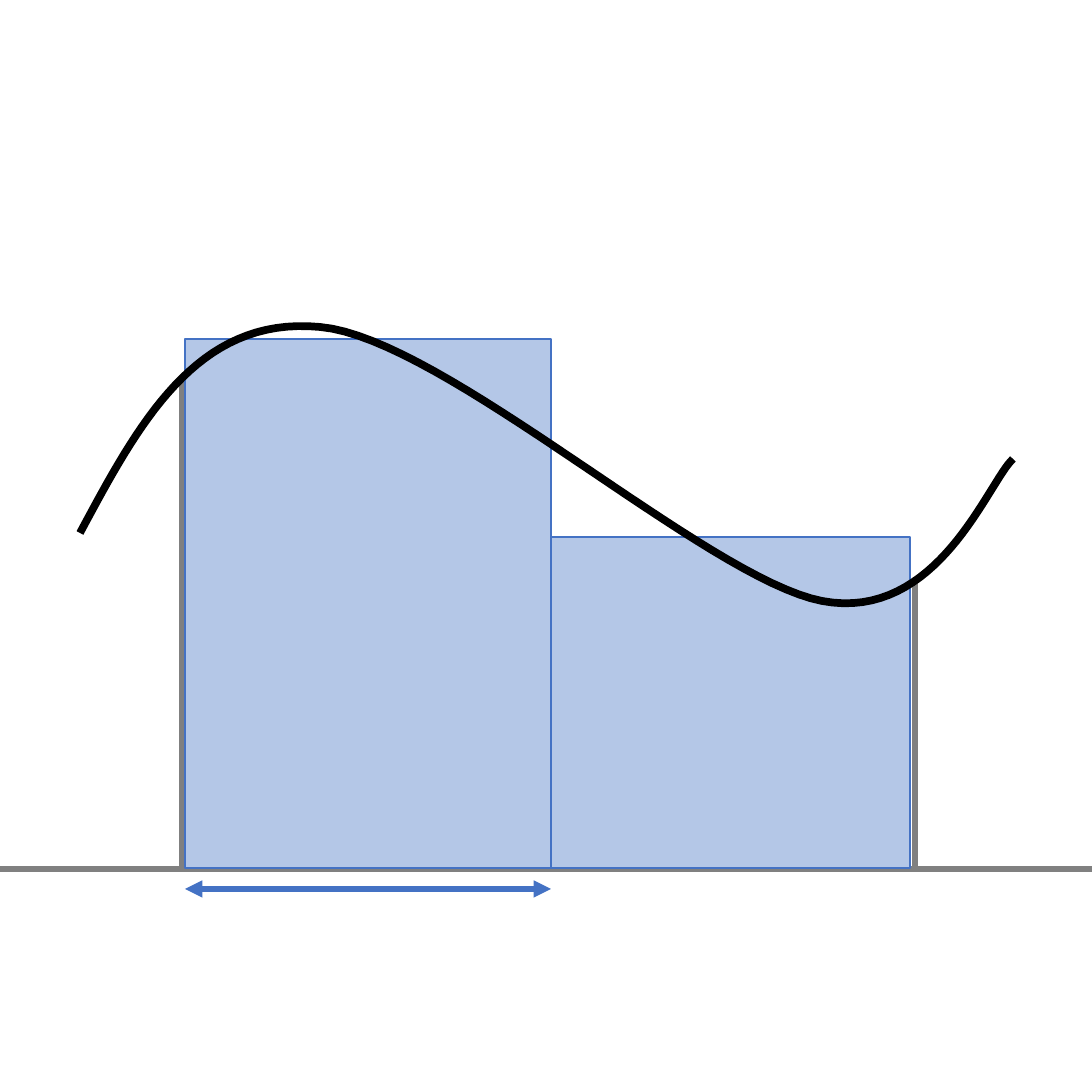
from dataclasses import dataclass

from lxml.etree import SubElement
from pptx import Presentation
from pptx.dml.color import RGBColor as Color
from pptx.enum.shapes import MSO_CONNECTOR as Connector, MSO_SHAPE as Shape
from pptx.oxml.ns import qn
from pptx.util import Emu, Pt

SCALE = 914400 / 92.5
SIDE = 1092
BASE = 868
CURVE_STEPS = 32

BARS = [(185, 339, 366), (551, 537, 359)]  # left, top, width
AXES = [
    ((0, 869), (SIDE, 869)),
    ((182, 380), (182, BASE)),
    ((915, 581), (915, 869)),
]
CURVE_START = (80, 533)
CURVE_PIECES = [
    ((138, 425), (196, 315), (320, 327)),
    ((444, 338), (707, 579), (822, 601)),
    ((938, 623), (988, 482), (1013, 459)),
]


@dataclass(frozen=True)
class Theme:
    axis: Color = Color.from_string("808080")
    bar: Color = Color.from_string("B4C7E7")
    accent: Color = Color.from_string("4472C4")
    curve: Color = Color.from_string("000000")
    thin: float = 1
    medium: float = 4.5
    thick: float = 6


THEME = Theme()


def px(length):
    return Emu(round(length * SCALE))


def style_line(shape, color, width):
    shape.line.color.rgb = color
    shape.line.width = Pt(width)


def add_line(page, start, end, color, arrows=False):
    """Draw a straight line, with an arrowhead at each end if wanted."""
    line = page.shapes.add_connector(
        Connector.STRAIGHT, *map(px, (*start, *end)))
    style_line(line, color, THEME.medium)
    if arrows:
        outline = line.line._get_or_add_ln()
        for end_tag in ("a:headEnd", "a:tailEnd"):
            SubElement(outline, qn(end_tag), type="triangle")
    SubElement(line._element.spPr, qn("a:effectLst"))


def add_bar(page, left, top, width):
    bar = page.shapes.add_shape(
        Shape.RECTANGLE, *map(px, (left, top, width, BASE - top)))
    bar.shadow.inherit = False
    bar.fill.solid()
    bar.fill.fore_color.rgb = THEME.bar
    style_line(bar, THEME.accent, THEME.thin)


def bezier_point(points, t):
    """Return the point at t on a cubic curve with four control points."""
    weights = ((1 - t) ** 3, 3 * t * (1 - t) ** 2, 3 * t ** 2 * (1 - t), t ** 3)
    return tuple(px(sum(w * value for w, value in zip(weights, axis)))
                 for axis in zip(*points))


def add_curve(page, start, pieces):
    builder = page.shapes.build_freeform(*map(px, start))
    for piece in pieces:
        points = (start, *piece)
        builder.add_line_segments(
            [bezier_point(points, step / CURVE_STEPS)
             for step in range(1, CURVE_STEPS + 1)], close=False)
        start = piece[-1]
    curve = builder.convert_to_shape()
    curve.shadow.inherit = False
    curve.fill.background()
    style_line(curve, THEME.curve, THEME.thick)


def main():
    deck = Presentation()
    deck.slide_width = deck.slide_height = px(SIDE)
    page = deck.slides.add_slide(deck.slide_layouts[6])
    for start, end in AXES:
        add_line(page, start, end, THEME.axis)
    for bar in BARS:
        add_bar(page, *bar)
    add_curve(page, CURVE_START, CURVE_PIECES)
    left, _, width = BARS[0]
    add_line(page, (left, 889), (left + width, 889), THEME.accent, arrows=True)
    deck.save("out.pptx")


if __name__ == "__main__":
    main()
